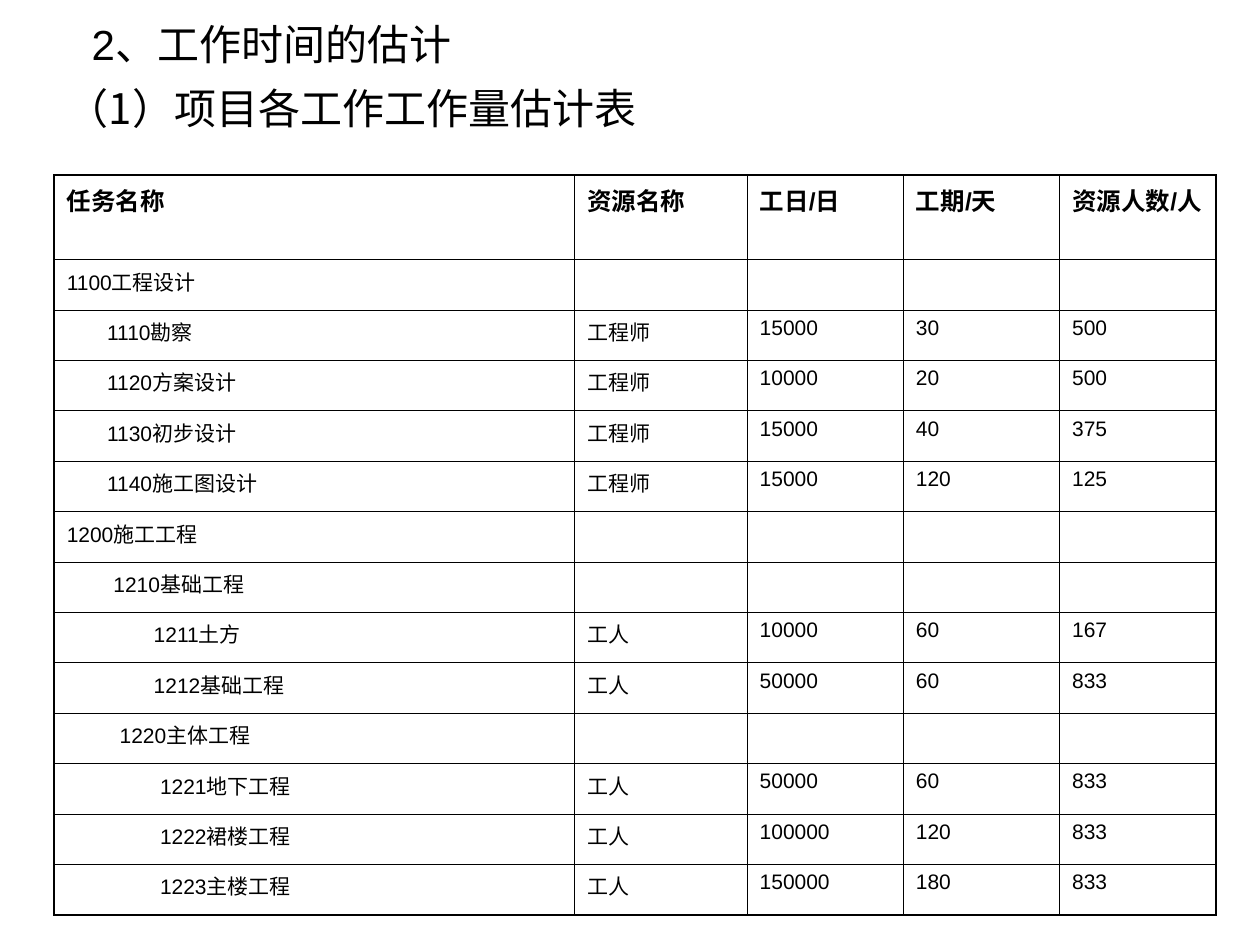
"""Build the workload estimate slide: two headings and a bordered task table."""
from lxml.etree import SubElement
from pptx import Presentation
from pptx.dml.color import RGBColor
from pptx.enum.text import MSO_ANCHOR, MSO_AUTO_SIZE, PP_ALIGN
from pptx.oxml.ns import qn
from pptx.util import Inches, Pt

COLORS = {"ink": "000000"}
CJK = "Noto Sans CJK SC"
THIN, THICK = Pt(0.45), Pt(1.08)
HEADERS = ["任务名称", "资源名称", "工日/日", "工期/天", "资源人数/人"]
TASKS = [
    (0, "1100工程设计"),
    (0.32, "1110勘察", "工程师", "15000", "30", "500"),
    (0.32, "1120方案设计", "工程师", "10000", "20", "500"),
    (0.32, "1130初步设计", "工程师", "15000", "40", "375"),
    (0.32, "1140施工图设计", "工程师", "15000", "120", "125"),
    (0, "1200施工工程"),
    (0.37, "1210基础工程"),
    (0.69, "1211土方", "工人", "10000", "60", "167"),
    (0.69, "1212基础工程", "工人", "50000", "60", "833"),
    (0.42, "1220主体工程"),
    (0.74, "1221地下工程", "工人", "50000", "60", "833"),
    (0.74, "1222裙楼工程", "工人", "100000", "120", "833"),
    (0.74, "1223主楼工程", "工人", "150000", "180", "833"),
]
COL_WIDTHS = [4.13, 1.37, 1.24, 1.24, 1.24]
ROW_HEIGHTS = [0.67] + [0.4] * len(TASKS)


def write(tf, text, size, latin="Arial", bold=False):
    p = tf.paragraphs[0]
    p.text = text
    p.alignment = PP_ALIGN.LEFT
    p.font.size = Pt(size)
    p.font.bold = bold
    p.font.name = latin
    p.font.color.rgb = RGBColor.from_string(COLORS["ink"])
    SubElement(p.font._rPr, qn("a:ea"), typeface=CJK)
    return p


def add_border(cell, side, width):
    ln = SubElement(cell._tc.get_or_add_tcPr(), qn(f"a:ln{side}"), w=str(width))
    fill = SubElement(ln, qn("a:solidFill"))
    SubElement(fill, qn("a:srgbClr"), val=COLORS["ink"])


prs = Presentation()
prs.slide_width, prs.slide_height = Inches(10), Inches(7.5)
s = prs.slides.add_slide(prs.slide_layouts[5])

title = s.shapes.title
title.left, title.top = Inches(0.43), Inches(0.48)
title.width, title.height = Inches(5.12), Inches(0.75)
tf = title.text_frame
tf.auto_size = MSO_AUTO_SIZE.NONE
tf.vertical_anchor = MSO_ANCHOR.MIDDLE
write(tf, "（1）项目各工作工作量估计表", 24, CJK)

last_row, last_col = len(TASKS), len(HEADERS) - 1
table = s.shapes.add_table(
    last_row + 1, last_col + 1, Inches(0.43), Inches(1.39),
    Inches(sum(COL_WIDTHS)), Inches(sum(ROW_HEIGHTS))).table
table.horz_banding = False
for col, width in zip(table.columns, COL_WIDTHS):
    col.width = Inches(width)
for row, height in zip(table.rows, ROW_HEIGHTS):
    row.height = Inches(height)

for i, (indent, *values) in enumerate([(0, *HEADERS)] + TASKS):
    values += [""] * (len(HEADERS) - len(values))
    for j, text in enumerate(values):
        cell = table.cell(i, j)
        header = i == 0
        p = write(cell.text_frame, text, 14 if header else 12, bold=header)
        if j == 0 and indent:
            p._p.get_or_add_pPr().set("marL", str(Inches(indent)))
        outer = {"L": j == 0, "R": j == last_col, "T": header, "B": i == last_row}
        for side, is_outer in outer.items():
            add_border(cell, side, THICK if is_outer else THIN)
        cell.fill.background()

heading = s.shapes.add_textbox(Inches(0.63), Inches(0.1), Inches(3.13), Inches(0.5))
tf = heading.text_frame
tf.word_wrap = False
tf.auto_size = MSO_AUTO_SIZE.SHAPE_TO_FIT_TEXT
write(tf, "2、工作时间的估计", 24)

prs.save("out.pptx")
